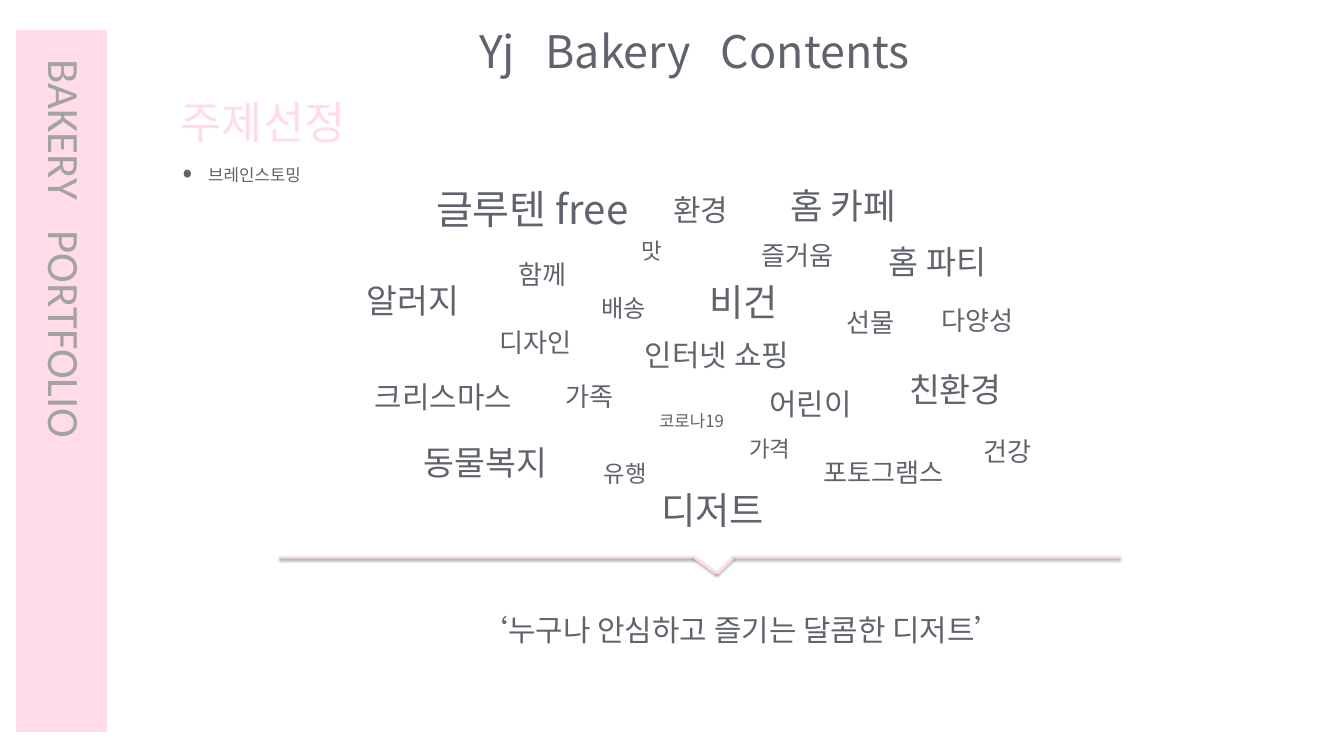
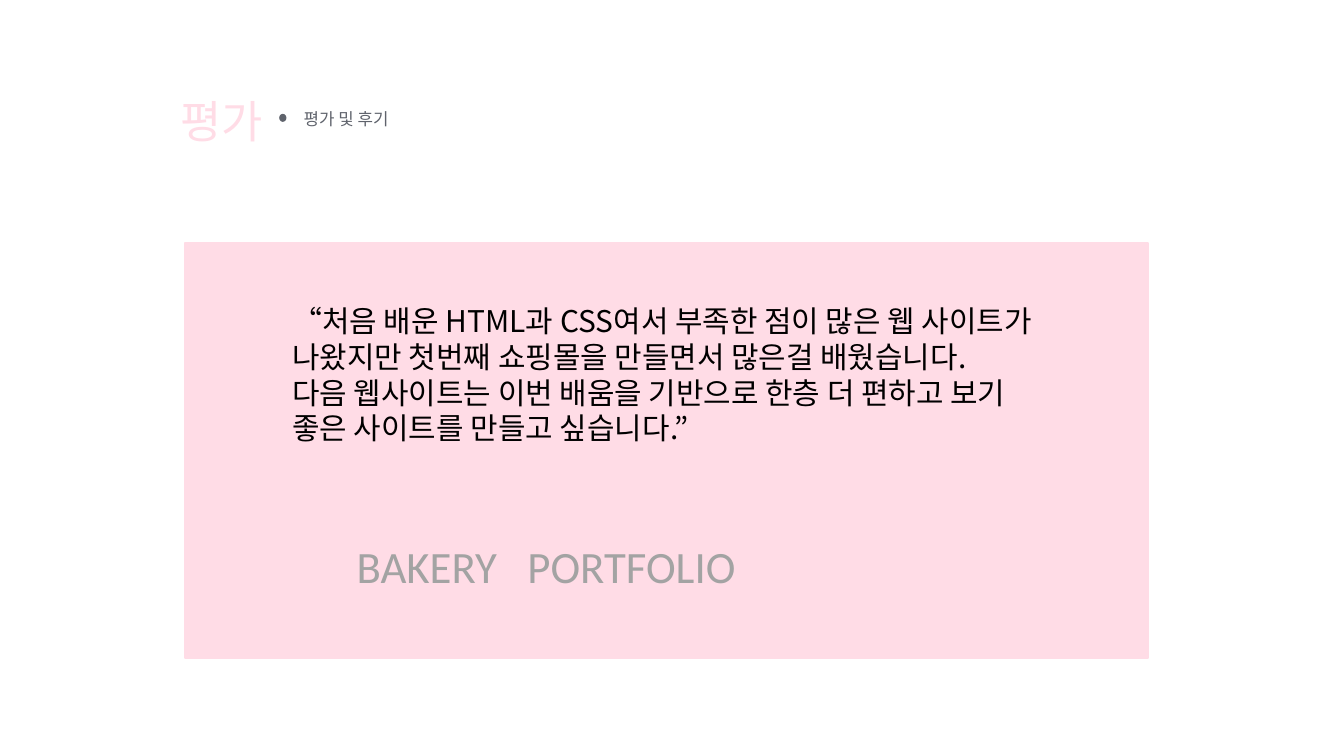
from lxml.etree import SubElement
from pptx import Presentation
from pptx.dml.color import RGBColor
from pptx.enum.shapes import MSO_CONNECTOR, MSO_SHAPE
from pptx.enum.text import PP_ALIGN
from pptx.oxml.ns import qn
from pptx.util import Cm, Pt

PINK = RGBColor(0xFF, 0xDC, 0xE6)
SLATE = RGBColor(0x5F, 0x63, 0x6C)
GREY = RGBColor(0xA3, 0xA3, 0xA3)
BLACK = RGBColor(0, 0, 0)
SANS = "Noto Sans CJK KR"
BRAND = "BAKERY PORTFOLIO"
BODY = {"size": 32, "name": SANS, "color": SLATE}
HEAD = {**BODY, "size": 48, "color": PINK}
SMALL = {**BODY, "size": 18}
TITLE = {**BODY, "size": 48, "name": "Noto Sans CJK SC"}
MARK = {"size": 48, "name": "Calibri", "color": GREY}

# text, left, top, width, size; lengths from the corner of the cloud
WORDS = [
    ("글루텐 free", 2.3, 0.01, 8.43, 43),
    ("홈 카페", 16.02, 0.01, 5.08, 38),
    ("비건", 12.97, 3.59, 6.55, 40),
    ("동물복지", 2.17, 9.76, 5.72, 36),
    ("코로나19", 11.06, 8.64, 8.26, 18),
    ("다양성", 21.73, 4.58, 6.99, 28),
    ("디자인", 5.04, 5.44, 5.51, 28),
    ("포토그램스", 17.29, 10.34, 5.51, 28),
    ("배송", 8.88, 4.17, 5.72, 26),
    ("친환경", 20.51, 6.99, 5.92, 36),
    ("맛", 10.38, 2.06, 1.7, 24),
    ("건강", 23.33, 9.56, 5.08, 28),
    ("디저트", 11.14, 11.46, 5.51, 40),
    ("선물", 18.15, 4.65, 3.81, 28),
    ("즐거움", 14.92, 2.14, 6.15, 28),
    ("인터넷 쇼핑", 10.53, 5.8, 7.14, 32),
    ("어린이", 15.23, 7.65, 4.45, 32),
    ("홈 파티", 19.75, 2.22, 5.28, 35),
    ("알러지", 0.01, 3.66, 5.44, 36),
    ("함께", 5.75, 2.85, 2.54, 28),
    ("유행", 8.98, 10.47, 5.51, 25),
    ("크리스마스", 0.32, 7.37, 6.6, 32),
    ("가족", 7.51, 7.47, 2.54, 28),
    ("가격", 14.47, 9.56, 4.78, 24),
    ("환경", 11.6, 0.31, 7.21, 32),
]
NOTE = [
    "“처음 배운 HTML과 CSS여서 부족한 점이 많은 웹 사이트가 나왔지만 "
    "첫번째 쇼핑몰을 만들면서 많은걸 배웠습니다.",
    "다음 웹사이트는 이번 배움을 기반으로 한층 더 편하고 보기 좋은 "
    "사이트를 만들고 싶습니다.”",
]


def add_run(para, text, style, gap=0):
    """Add text in a style; gap is extra space after each letter, in points."""
    run = para.add_run()
    run.text = text
    props = {"size": Pt(style["size"]), "name": style["name"]}
    for key, val in props.items():
        setattr(run.font, key, val)
    run.font.color.rgb = style["color"]
    tag = run._r.get_or_add_rPr()
    SubElement(tag, qn("a:ea")).set("typeface", style["name"])
    if gap:
        tag.set("spc", str(round(gap * 100)))


def add_text(slide, box, lines, style, align=PP_ALIGN.LEFT, wide=False):
    """Write lines in a box; wide makes each word gap three spaces broad."""
    shape = slide.shapes.add_textbox(*map(Cm, box))
    frame = shape.text_frame
    frame.word_wrap = True
    size = style["size"]
    tight = style["name"] != "Calibri"
    if tight:
        frame.margin_top = Pt(3.6 + 0.09 * size)
    for num, line in enumerate(lines):
        para = frame.paragraphs[0] if num == 0 else frame.add_paragraph()
        para.alignment = align
        if tight:
            para.line_spacing = Pt(1.2 * size)
        if not wide:
            add_run(para, line, style)
            continue
        for pos, word in enumerate(line.split(" ")):
            if pos:
                add_run(para, " ", style, 0.45 * size)
            add_run(para, word, style)
    return shape


def add_label(slide, left, top, width, text, style, **opts):
    """Write one line in a box as high as its type needs."""
    high = (1.2 * style["size"] + 7.2) / 72 * 2.54
    return add_text(slide, (left, top, width, high), [text], style, **opts)


def add_block(slide, box, fill, kind=MSO_SHAPE.RECTANGLE):
    shape = slide.shapes.add_shape(kind, *map(Cm, box))
    shape.shadow.inherit = False
    shape.fill.solid()
    shape.fill.fore_color.rgb = fill
    shape.line.color.rgb = fill
    shape.line.width = Pt(2)


def add_topic(slide, left, top, text):
    """Round dot with a small caption to its right."""
    add_block(slide, (left, top, 0.2, 0.23), SLATE, MSO_SHAPE.OVAL)
    add_label(slide, left + 0.64, top - 0.42, 7.4, text, SMALL)


def add_band(slide, left, top, width, height):
    """Side band with the brand running down it."""
    add_block(slide, (left, top, width, height), PINK)
    box = (left + 0.43, top + 0.84, 2.57, height - 3.05)
    shape = add_text(slide, box, [BRAND], MARK, wide=True)
    shape.text_frame._txBody.bodyPr.set("vert", "eaVert")


def add_cloud(slide, left, top):
    for text, x, y, width, size in WORDS:
        align = PP_ALIGN.CENTER if text == WORDS[0][0] else PP_ALIGN.LEFT
        add_label(slide, left + x, top + y, width, text,
                  {**BODY, "size": size}, align=align)


def add_rule(slide, left, top, width):
    """Shaded line with a notch that points down."""
    spots = [(0, 0), (15.65, 0), (16.51, 0.63), (17.15, 0), (width, 0)]
    for (x1, y1), (x2, y2) in zip(spots, spots[1:]):
        ends = (left + x1, top + y1, left + x2, top + y2)
        line = slide.shapes.add_connector(MSO_CONNECTOR.STRAIGHT,
                                          *map(Cm, ends))
        line.line.color.rgb = PINK
        line.line.width = Pt(3)
        group = SubElement(line._element.spPr, qn("a:effectLst"))
        shade = SubElement(group, qn("a:outerShdw"), blurRad="39370",
                           dist="22860", dir="5400000", rotWithShape="0")
        tone = SubElement(shade, qn("a:srgbClr"), val="000000")
        SubElement(tone, qn("a:alpha"), val="35000")


def add_card(slide, left, top, width, height):
    """Panel with the review and the brand below it."""
    add_block(slide, (left, top, width, height), PINK)
    add_text(slide, (left + 3.82, top + 2.01, 29.21, 7.09), NOTE,
             {**BODY, "color": BLACK})
    shape = add_text(slide, (left + 6.5, top + 11.05, 23.42, 2.57),
                     [BRAND], MARK, wide=True)
    shape.text_frame.margin_left = 0


def theme_slide(slide):
    add_label(slide, 12.7, 0.61, 27.1, "Yj Bakery Contents", TITLE,
              align=PP_ALIGN.CENTER, wide=True)
    add_label(slide, 6.58, 3.3, 8, "주제선정", HEAD)
    add_topic(slide, 6.98, 6.45, "브레인스토밍")
    add_rule(slide, 10.59, 21.06, 31.75)
    add_band(slide, 0.64, 1.17, 3.38, 26.47)
    add_cloud(slide, 13.6, 6.7)
    add_label(slide, 16.38, 22.91, 23.32,
              "‘누구나 안심하고 즐기는 달콤한 디저트’", BODY,
              align=PP_ALIGN.CENTER)


def review_slide(slide):
    add_label(slide, 6.58, 3.25, 4, "평가", HEAD)
    add_topic(slide, 10.59, 4.34, "평가 및 후기")
    add_card(slide, 6.98, 9.2, 36.4, 15.67)


def main():
    deck = Presentation()
    deck.slide_width, deck.slide_height = Cm(50.8), Cm(28.58)
    for fill in (theme_slide, review_slide):
        fill(deck.slides.add_slide(deck.slide_layouts[6]))
    deck.save("out.pptx")


if __name__ == "__main__":
    main()
